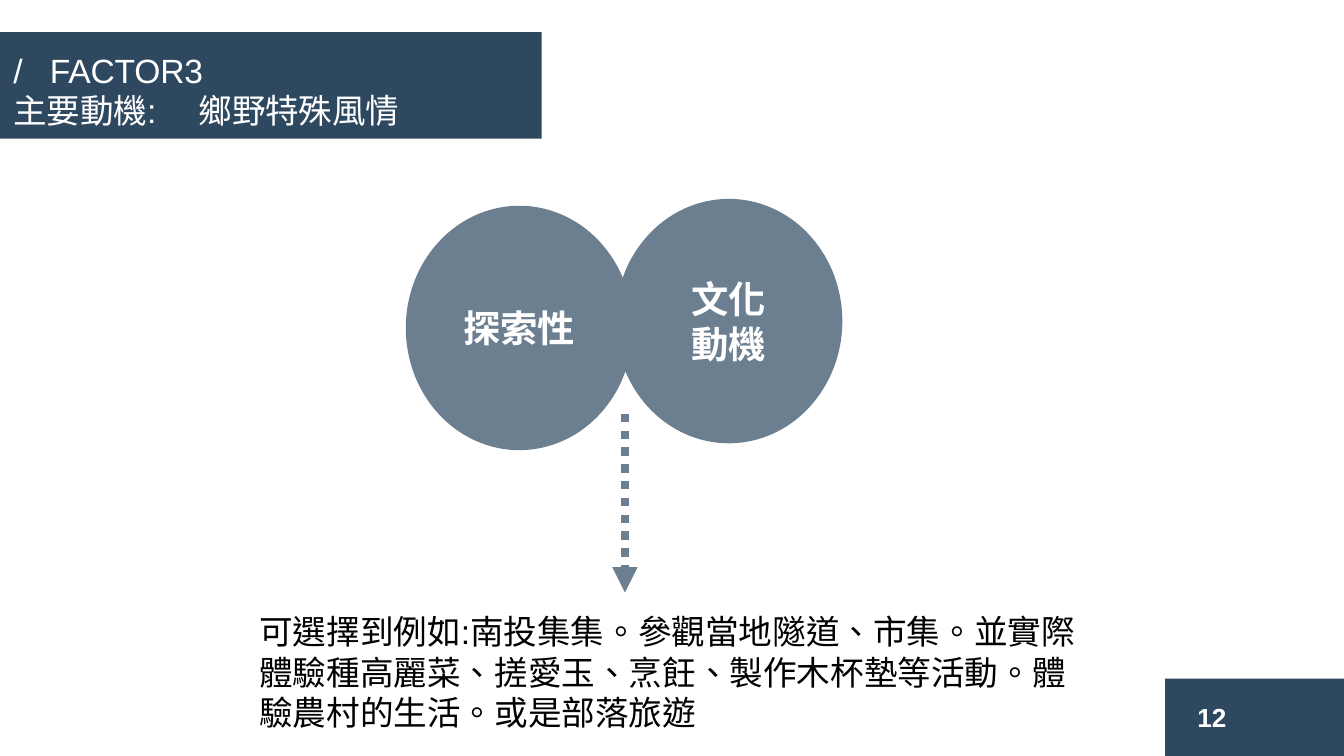
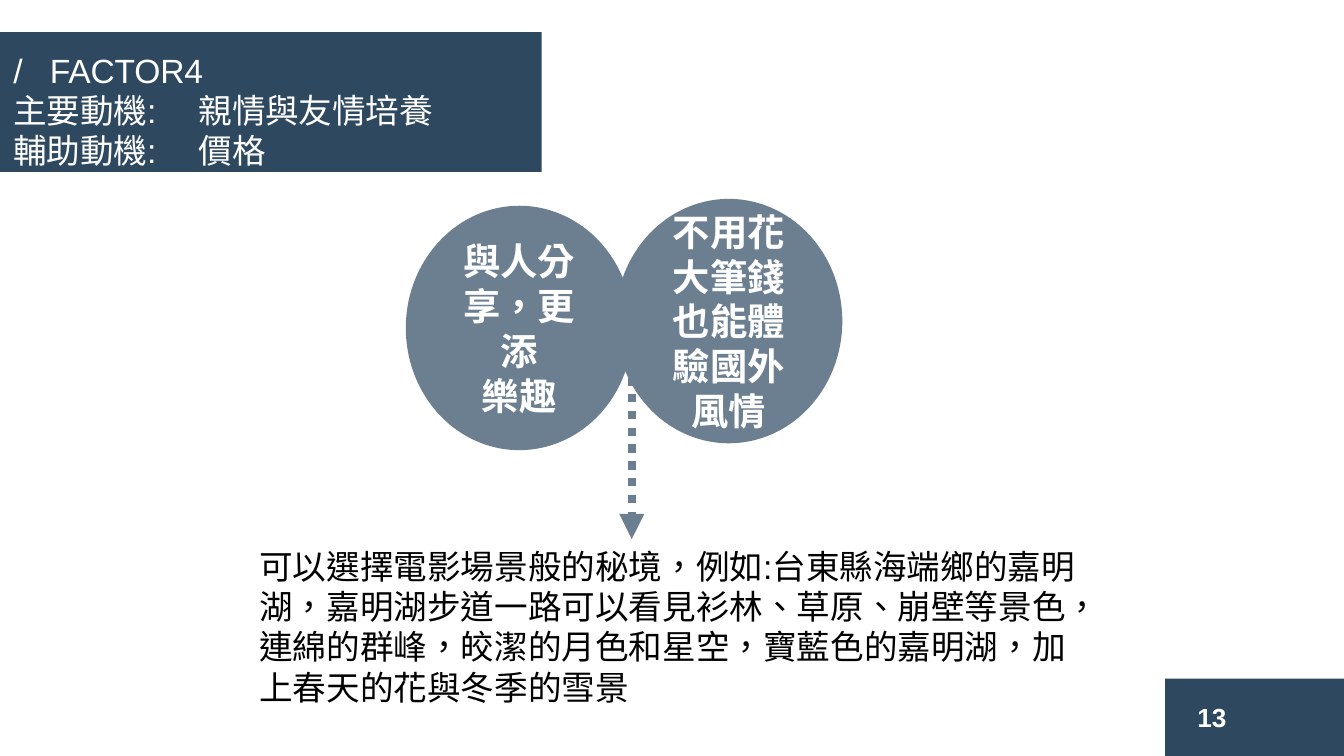
from lxml.etree import SubElement as Sub
from pptx import Presentation
from pptx.dml.color import RGBColor as Rgb
from pptx.enum.dml import MSO_LINE_DASH_STYLE as Dash
from pptx.enum.lang import MSO_LANGUAGE_ID as Lang
from pptx.enum.shapes import MSO_CONNECTOR as Link, MSO_SHAPE as Kind
from pptx.enum.text import MSO_ANCHOR as Anchor, MSO_AUTO_SIZE as Fit, PP_ALIGN as Align
from pptx.oxml.ns import qn
from pptx.util import Cm, Pt

HEX = {"navy": "2E4860", "slate": "6C7F90", "white": "FFFFFF", "black": "000000"}
FONT = "Arial"
WIDTH, HEIGHT = 25.4, 14.29

FACTORS = [
    {
        "page": "12",
        "title": ["/\tFACTOR3", "主要動機:\t鄉野特殊風情"],
        "band": 2.01,
        "left": ["探索性"],
        "right": ["文化", "動機"],
        "arrow": (11.81, 7.82),
        "text": "可選擇到例如:南投集集。參觀當地隧道、市集。並實際體驗種高麗菜、搓愛玉、烹飪、"
                "製作木杯墊等活動。體驗農村的生活。或是部落旅遊",
        "box": (4.65, 11.43, 16, 2.57),
    },
    {
        "page": "13",
        "title": ["/\tFACTOR4", "主要動機:\t親情與友情培養", "輔助動機:\t價格"],
        "band": 2.64,
        "left": ["與人分享，更添", "樂趣"],
        "right": ["不用花大筆錢也能體驗國外風情"],
        "arrow": (11.94, 6.81),
        "text": "可以選擇電影場景般的秘境，例如:台東縣海端鄉的嘉明湖，嘉明湖步道一路可以看見衫林、"
                "草原、崩壁等景色，連綿的群峰，皎潔的月色和星空，寶藍色的嘉明湖，加上春天的花與冬季的雪景",
        "box": (4.65, 10.19, 16, 4.88),
    },
]


def color(name):
    return Rgb.from_string(HEX[name])


def write(shape, lines, size=18, ink="white", bold=False, align=Align.LEFT,
          anchor=Anchor.TOP, tabs=(), space=None):
    """Fill a shape with one paragraph per line; tabs gives one stop per line in cm."""
    frame = shape.text_frame
    frame.word_wrap = True
    frame.auto_size = Fit.NONE
    frame.vertical_anchor = anchor
    for i, line in enumerate(lines):
        para = frame.add_paragraph() if i else frame.paragraphs[0]
        para.alignment = align
        if tabs:
            stops = Sub(para._p.get_or_add_pPr(), qn("a:tabLst"))
            Sub(stops, qn("a:tab"), pos=str(Cm(tabs[i])), algn="l")
        run = para.add_run()
        run.text = line
        font = run.font
        font.name, font.size, font.bold = FONT, Pt(size), bold
        font.color.rgb = color(ink)
        font.language_id = Lang.TRADITIONAL_CHINESE
        props = run._r.get_or_add_rPr()
        Sub(props, qn("a:ea"), typeface=FONT)
        if space is not None:
            props.set("spc", str(int(space * 100)))


def block(slide, kind, box, fill):
    shape = slide.shapes.add_shape(kind, *map(Cm, box))
    shape.shadow.inherit = False
    shape.fill.solid()
    shape.fill.fore_color.rgb = color(fill)
    shape.line.fill.background()
    return shape


def label(slide, box, lines, **style):
    write(slide.shapes.add_textbox(*map(Cm, box)), lines, **style)


def footer(slide, box, page):
    left, top = box[:2]
    block(slide, Kind.RECTANGLE, box, "navy")
    label(slide, (left + 0.36, top + 0.3, 1.27, 0.86), [page], size=14, bold=True)


def header(slide, box, lines):
    left, top, width, height = box
    band = block(slide, Kind.RECTANGLE, box, "navy")
    title = slide.shapes.title
    title.left, title.top = Cm(left), Cm(top + 0.2)
    title.width, title.height = Cm(width), Cm(height - 0.2)
    band._element.addnext(title._element)
    tabs = [0.69] + [3.5] * (len(lines) - 1)
    write(title, lines, tabs=tabs, space=-0.1)


def arrow(slide, left, top, length):
    line = slide.shapes.add_connector(
        Link.STRAIGHT, Cm(left), Cm(top), Cm(left), Cm(top + length))
    line.line.color.rgb = color("slate")
    line.line.width = Pt(4.5)
    line.line.dash_style = Dash.ROUND_DOT
    Sub(line.line._get_or_add_ln(), qn("a:tailEnd"), type="triangle")
    Sub(line._element.spPr, qn("a:effectLst"))


def motives(slide, box, left, right, start):
    """Two touching circles, with the arrow between them in depth."""
    x, y, width, height = box
    wide, tall = 4.29, 4.62
    style = dict(size=20, bold=True, align=Align.CENTER, anchor=Anchor.MIDDLE)
    far = block(slide, Kind.OVAL, (x + width - wide, y, wide, tall), "slate")
    write(far, right, **style)
    arrow(slide, *start, 3.38)
    near = block(slide, Kind.OVAL, (x, y + height - tall, wide, tall), "slate")
    write(near, left, **style)


def factor(deck, data):
    slide = deck.slides.add_slide(deck.slide_layouts[5])
    footer(slide, (22.02, 12.83, 3.38, 1.5), data["page"])
    header(slide, (0, 0.61, 10.24, data["band"]), data["title"])
    motives(slide, (7.67, 3.76, 8.25, 4.75), data["left"], data["right"], data["arrow"])
    label(slide, data["box"], [data["text"]], ink="black")


def main():
    deck = Presentation()
    deck.slide_width, deck.slide_height = Cm(WIDTH), Cm(HEIGHT)
    for data in FACTORS:
        factor(deck, data)
    deck.save("out.pptx")


if __name__ == "__main__":
    main()
